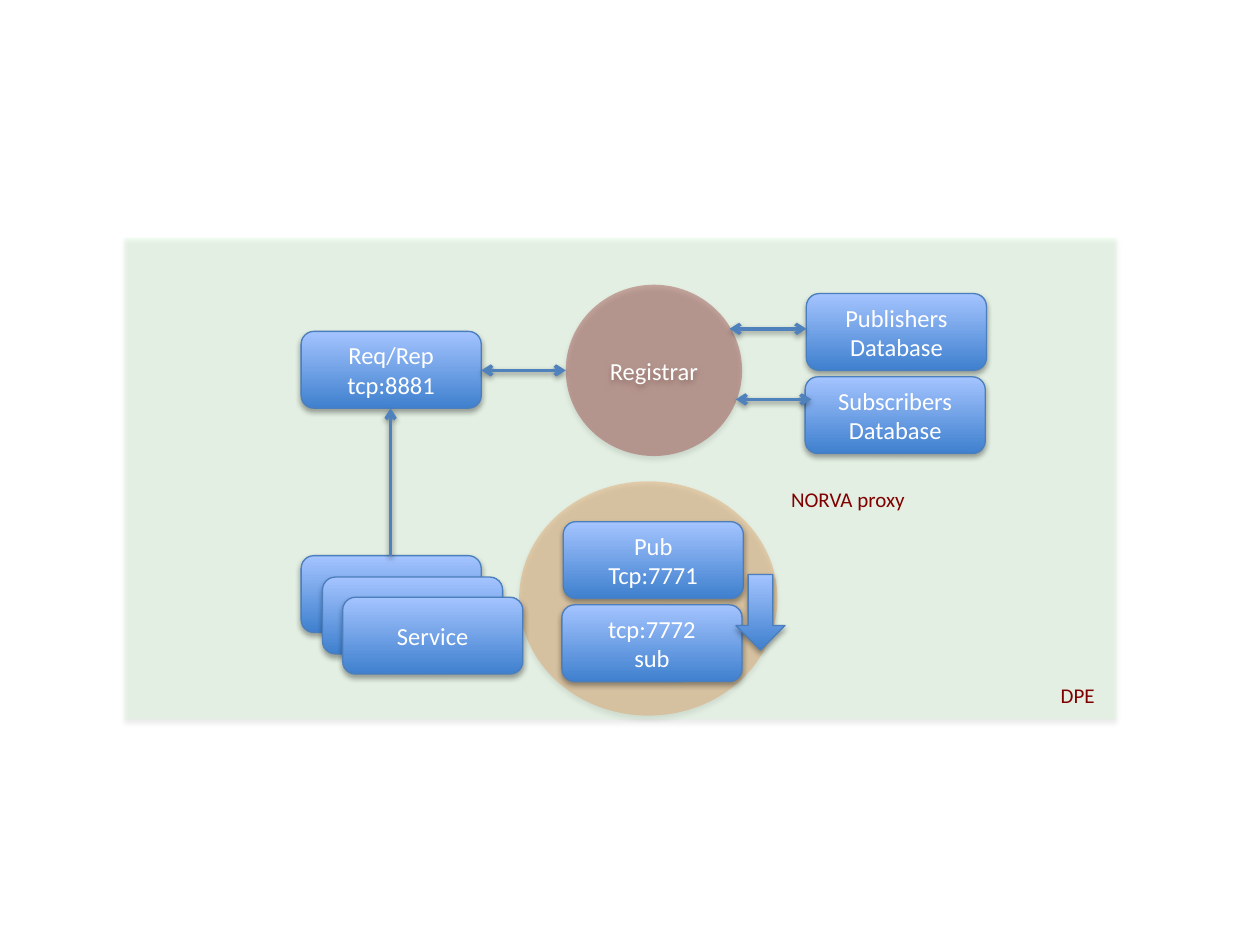
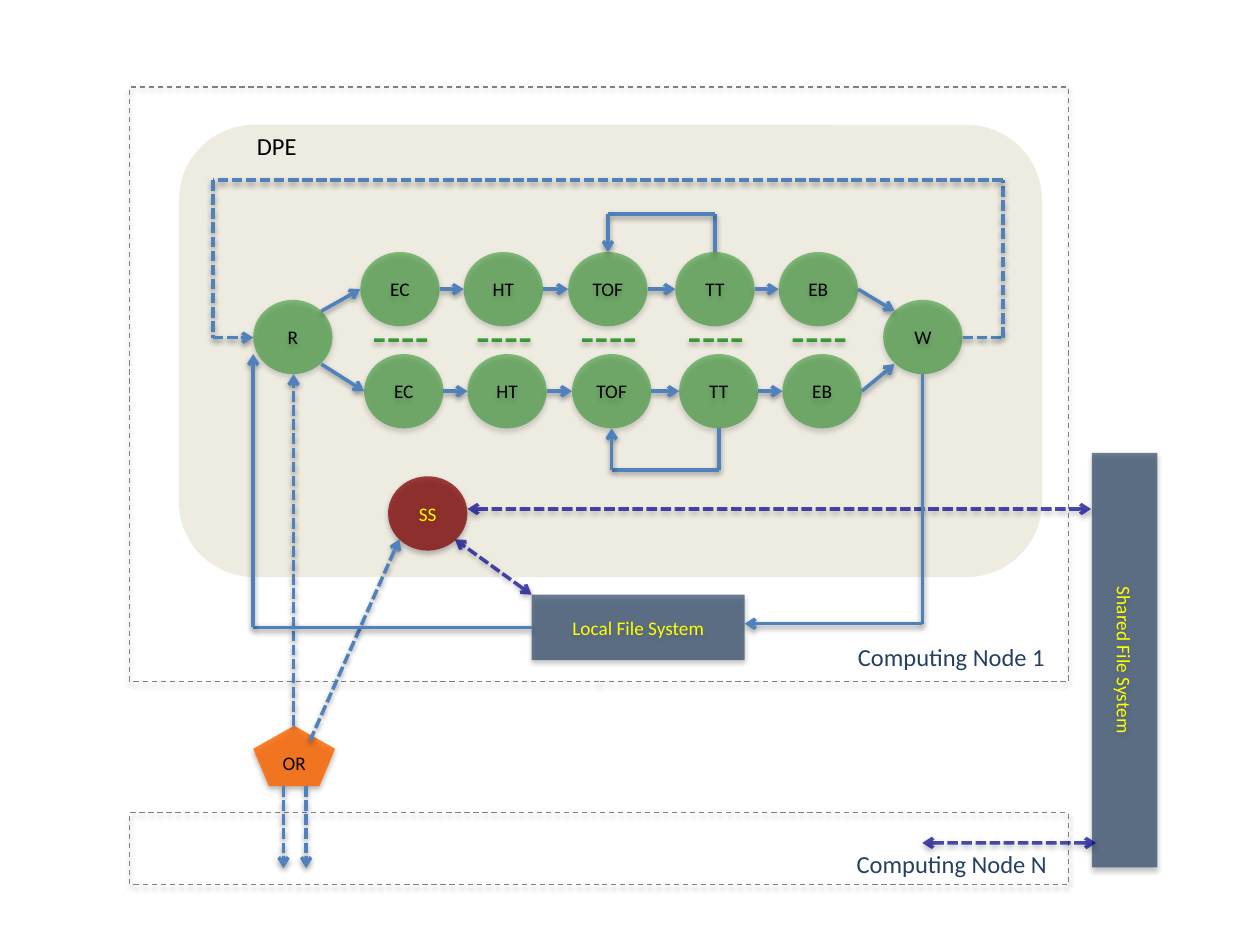
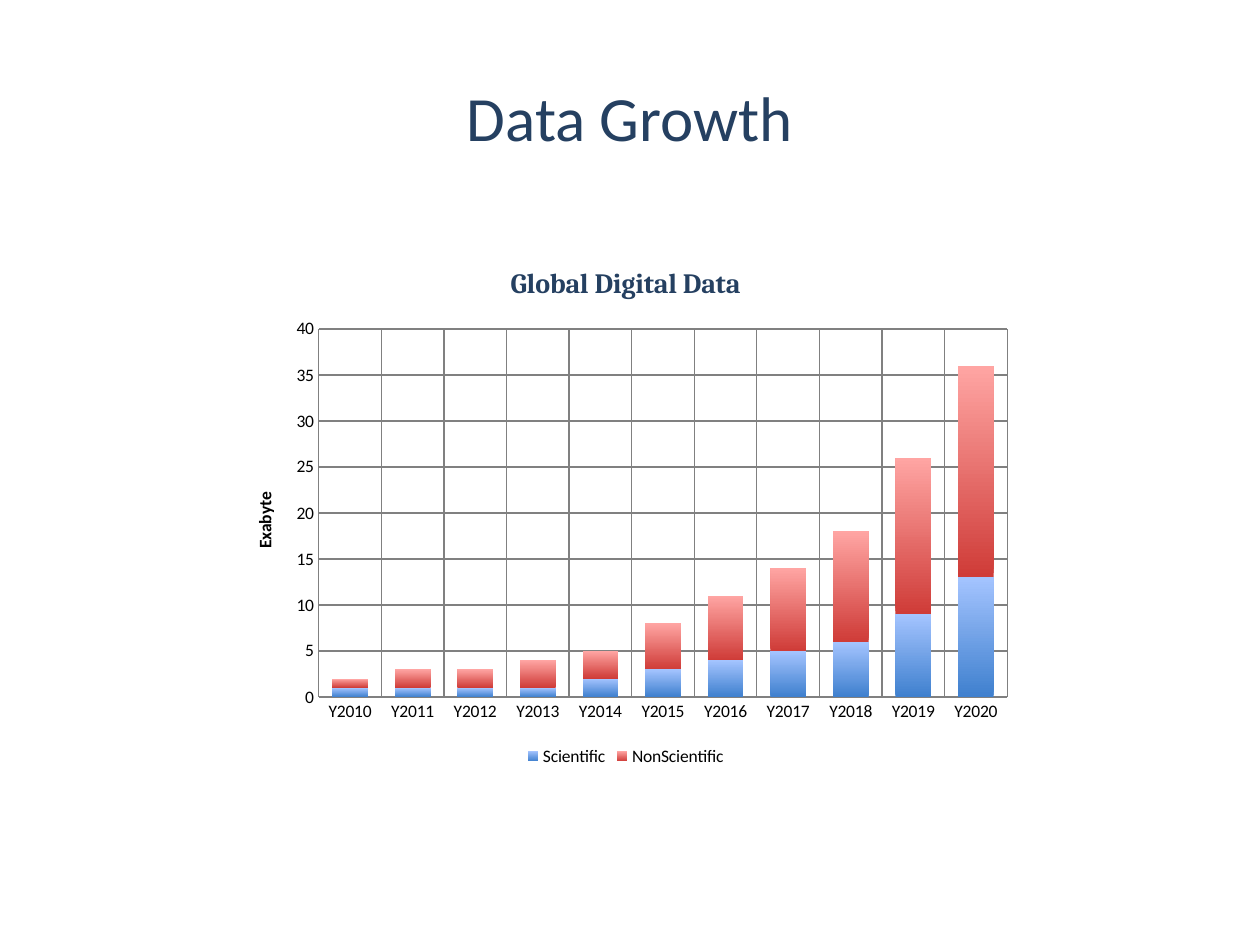
from dataclasses import dataclass
from itertools import pairwise
from typing import Optional

from lxml.etree import SubElement
from pptx import Presentation
from pptx.chart.data import CategoryChartData
from pptx.dml.color import RGBColor
from pptx.enum.chart import XL_CHART_TYPE as ChartType, XL_LEGEND_POSITION as LegendPosition
from pptx.enum.chart import XL_TICK_MARK as TickMark
from pptx.enum.dml import MSO_LINE as Dash
from pptx.enum.shapes import MSO_CONNECTOR as Connector, MSO_SHAPE as Shape
from pptx.enum.text import MSO_ANCHOR as Anchor, MSO_AUTO_SIZE as AutoSize, PP_ALIGN as Align
from pptx.oxml.ns import qn
from pptx.util import Inches, Pt

FONT = "Calibri"
BLACK, WHITE, YELLOW = "000000", "FFFFFF", "FFFF00"
NAVY, MAROON, GREEN, ORANGE = "254061", "800000", "008000", "FF6600"
BLUE, CARD_EDGE, INDIGO, GREY = "4F81BD", "4B7EBC", "000090", "808080"
BLUE_GRADIENT = ("3F80CE", "A4C4FF")
RED_GRADIENT = ("CF3C38", "FFA5A3")

Point = tuple[float, float]


@dataclass(frozen=True)
class Look:
    fill: Optional[str] = None
    opacity: int = 100
    gradient: Optional[tuple[str, str]] = None
    edge: Optional[str] = None
    dash: Optional[Dash] = None
    shadow: bool = True
    text: str = WHITE
    size: float = 14


@dataclass(frozen=True)
class Box:
    x: float
    y: float
    width: float
    height: float
    look: Look
    text: str = ""
    kind: Shape = Shape.RECTANGLE
    rotation: float = 0


@dataclass(frozen=True)
class Stroke:
    color: str = BLUE
    dash: Optional[Dash] = None
    opacity: int = 100


@dataclass(frozen=True)
class Label:
    x: float
    y: float
    width: float
    text: str
    size: float
    color: str
    height: float = 0.34


CARD = Look(gradient=BLUE_GRADIENT, edge=CARD_EDGE)
NODE = Look(GREEN, 45, text=BLACK, size=11)
STORE = Look(NAVY, 66, text=YELLOW, size=11)
FRAME = Look(edge=GREY, dash=Dash.DASH)
SOLID = Stroke()
DASHED = Stroke(dash=Dash.SQUARE_DOT)
DATA = Stroke(INDIGO, Dash.SQUARE_DOT, 70)
DIVIDER = Stroke(GREEN, Dash.SQUARE_DOT, 72)


def rgb(value: str) -> RGBColor:
    return RGBColor.from_string(value)


def set_opacity(properties, percent: int) -> None:
    if percent < 100:
        color = next(properties.iter(qn("a:srgbClr")))
        SubElement(color, qn("a:alpha"), val=str(percent * 1000))


def add_shadow(effects, distance: int, percent: int) -> None:
    shadow = SubElement(effects, qn("a:outerShdw"), blurRad="40000", dist=str(distance),
                        dir="5400000", rotWithShape="0")
    color = SubElement(shadow, qn("a:srgbClr"), val=BLACK)
    SubElement(color, qn("a:alpha"), val=str(percent * 1000))


def set_gradient(fill, colors: tuple[str, str]) -> None:
    fill.gradient()
    fill.gradient_angle = 90
    for stop, color in zip(fill.gradient_stops, colors):
        stop.color.rgb = rgb(color)


def style_font(font, size: float, color: str, name: str = FONT, bold: bool = False) -> None:
    font.name, font.size, font.bold = name, Pt(size), bold
    font.color.rgb = rgb(color)


def style_text(frame, size: float, color: str, align: Align) -> None:
    for para in frame.paragraphs:
        para.alignment = align
        for span in para.runs:
            style_font(span.font, size, color)


def draw_box(page, box: Box) -> None:
    look = box.look
    shape = page.shapes.add_shape(box.kind, Inches(box.x), Inches(box.y),
                                  Inches(box.width), Inches(box.height))
    shape.rotation = box.rotation
    properties = shape._element.spPr
    if look.gradient:
        set_gradient(shape.fill, look.gradient)
    elif look.fill:
        shape.fill.solid()
        shape.fill.fore_color.rgb = rgb(look.fill)
        set_opacity(properties, look.opacity)
    else:
        shape.fill.background()
    if look.edge:
        shape.line.color.rgb = rgb(look.edge)
        shape.line.width = Pt(0.75)
        if look.dash:
            shape.line.dash_style = look.dash
    else:
        shape.line.fill.background()
    shape.shadow.inherit = False
    if look.shadow:
        add_shadow(properties.find(qn("a:effectLst")), 23000, 35)
    if box.text:
        frame = shape.text_frame
        frame.text = box.text
        frame.word_wrap = False
        frame.vertical_anchor = Anchor.MIDDLE
        style_text(frame, look.size, look.text, Align.CENTER)


def draw_line(page, start: Point, end: Point, stroke: Stroke, head: bool, tail: bool) -> None:
    line = page.shapes.add_connector(Connector.STRAIGHT, *map(Inches, start + end))
    line.line.color.rgb = rgb(stroke.color)
    line.line.width = Pt(2)
    if stroke.dash:
        line.line.dash_style = stroke.dash
    properties = line._element.spPr
    set_opacity(properties, stroke.opacity)
    outline = properties.find(qn("a:ln"))
    for tag, wanted in (("a:headEnd", head), ("a:tailEnd", tail)):
        if wanted:
            SubElement(outline, qn(tag), type="arrow")
    add_shadow(SubElement(properties, qn("a:effectLst")), 20000, 38)


def draw_route(page, points: list[Point], stroke: Stroke = SOLID,
               head: bool = False, tail: bool = True) -> None:
    last = len(points) - 2
    for index, (start, end) in enumerate(pairwise(points)):
        draw_line(page, start, end, stroke, head and index == 0, tail and index == last)


def draw_label(page, label: Label) -> None:
    box = page.shapes.add_textbox(Inches(label.x), Inches(label.y),
                                  Inches(label.width), Inches(label.height))
    frame = box.text_frame
    frame.text = label.text
    frame.word_wrap = False
    frame.auto_size = AutoSize.SHAPE_TO_FIT_TEXT
    style_text(frame, label.size, label.color, Align.LEFT)


def build_environment(deck) -> None:
    page = deck.slides.add_slide(deck.slide_layouts[6])
    draw_box(page, Box(4.12, 3.82, 2.05, 1.86, Look(ORANGE, 30), kind=Shape.OVAL))
    draw_box(page, Box(0.99, 1.89, 7.87, 3.82, Look("CCFFCC", 23)))
    cards = [
        (4.47, 4.14, "Pub\nTcp:7771"),
        (4.46, 4.8, "tcp:7772\nsub"),
        (2.39, 2.63, "Req/Rep\ntcp:8881"),
        (6.4, 2.33, "Publishers\nDatabase"),
        (6.39, 2.99, "Subscribers\nDatabase"),
        (2.39, 4.41, ""),
        (2.56, 4.58, ""),
        (2.72, 4.74, "Service"),
    ]
    for x, y, text in cards:
        draw_box(page, Box(x, y, 1.43, 0.61, CARD, text, Shape.ROUNDED_RECTANGLE))
    draw_box(page, Box(4.49, 2.26, 1.4, 1.36, Look(MAROON, 30), "Registrar", Shape.OVAL))
    for left, right, y in ((3.82, 4.49, 2.94), (5.79, 6.4, 2.61), (5.84, 6.44, 3.17)):
        draw_route(page, [(left, y), (right, y)], head=True)
    draw_route(page, [(3.1, 4.41), (3.1, 3.24)])
    draw_box(page, Box(5.84, 4.56, 0.39, 0.6, CARD, kind=Shape.DOWN_ARROW))
    draw_label(page, Label(8.32, 5.37, 0.47, "DPE", 12, MAROON, 0.3))
    draw_label(page, Label(6.18, 3.81, 1.11, "NORVA proxy", 12, MAROON, 0.3))


def build_workflow(deck) -> None:
    page = deck.slides.add_slide(deck.slide_layouts[6])
    width, height = 0.63, 0.59

    def draw_node(x: float, y: float, text: str, look: Look = NODE) -> None:
        draw_box(page, Box(x, y, width, height, look, text, Shape.OVAL))

    panel = Look("EEECE1", shadow=False)
    draw_box(page, Box(1.42, 0.99, 6.85, 3.59, panel, kind=Shape.ROUNDED_RECTANGLE))
    draw_node(2.01, 2.38, "R")
    draw_node(7.01, 2.38, "W")

    columns = {"EC": 2.86, "HT": 3.68, "TOF": 4.51, "TT": 5.36, "EB": 6.18}
    rows = [(0, 2, 2, 1.7, 2.47), (0.03, 2.81, 3.4, 3.73, 2.89)]
    for shift, top, loop_start, loop_end, joint in rows:
        middle = top + height / 2
        for name, x in columns.items():
            draw_node(x + shift, top, name)
        for left, right in pairwise(columns.values()):
            draw_route(page, [(left + width + shift, middle), (right + shift, middle)])
        draw_route(page, [(2.55, joint), (columns["EC"] + shift, middle)])
        draw_route(page, [(columns["EB"] + width + shift, middle), (7.1, joint)])
        source, target = (columns[name] + shift + width / 2 for name in ("TT", "TOF"))
        draw_route(page, [(source, loop_start), (source, loop_end),
                          (target, loop_end), (target, loop_start)])
    for x in columns.values():
        draw_route(page, [(x + 0.11, 2.7), (x + 0.54, 2.7)], DIVIDER, tail=False)

    draw_route(page, [(7.64, 2.68), (7.96, 2.68), (7.96, 1.43),
                      (1.69, 1.43), (1.69, 2.68), (2.01, 2.68)], DASHED)
    draw_node(3.08, 3.78, "SS", Look(MAROON, 73, text=YELLOW, size=11))
    draw_box(page, Box(4.22, 4.72, 1.69, 0.52, STORE, "Local File System"))
    for y, frame_height in ((0.69, 4.72), (6.45, 0.57)):
        draw_box(page, Box(1.03, y, 7.45, frame_height, FRAME))
    for label in (Label(1.94, 0.99, 0.52, "DPE", 14, BLACK),
                  Label(6.71, 5.05, 1.7, "Computing Node 1", 14, NAVY),
                  Label(6.7, 6.69, 1.72, "Computing Node N", 14, NAVY)):
        draw_label(page, label)
    draw_box(page, Box(2.01, 5.76, 0.65, 0.48, Look(ORANGE, 82, text=BLACK, size=11),
                       "OR", Shape.REGULAR_PENTAGON))
    draw_box(page, Box(7.28, 4.98, 3.29, 0.52, STORE, "Shared File System", rotation=90))

    for start, end in (((2.33, 5.76), (2.33, 2.97)), ((2.46, 5.88), (3.17, 4.28)),
                       ((2.25, 6.24), (2.25, 6.89)), ((2.43, 6.24), (2.43, 6.89))):
        draw_route(page, [start, end], DASHED)
    for start, end in (((8.66, 4.04), (3.71, 4.04)), ((4.22, 4.72), (3.61, 4.28)),
                       ((8.7, 6.69), (7.32, 6.69))):
        draw_route(page, [start, end], DATA, head=True)
    draw_route(page, [(4.22, 4.98), (2.01, 4.98), (2.01, 2.81)])
    draw_route(page, [(7.32, 2.97), (7.32, 4.95), (5.91, 4.95)])


def style_axis(axis) -> None:
    axis.has_major_gridlines = True
    axis.major_gridlines.format.line.color.rgb = rgb(GREY)
    axis.major_gridlines.format.line.width = Pt(0.75)
    axis.major_tick_mark = axis.minor_tick_mark = TickMark.NONE
    style_font(axis.tick_labels.font, 10, BLACK)


def build_growth(deck) -> None:
    page = deck.slides.add_slide(deck.slide_layouts[5])
    title = page.shapes.title
    title.left, title.top, title.width, title.height = map(Inches, (0.5, 0.3, 9, 1.25))
    title.text_frame.text = "Data Growth"
    title.text_frame.vertical_anchor = Anchor.MIDDLE
    style_text(title.text_frame, 36, NAVY, Align.CENTER)

    data = CategoryChartData()
    data.categories = [f"Y{year}" for year in range(2010, 2021)]
    data.add_series("Scientific", (1, 1, 1, 1, 2, 3, 4, 5, 6, 9, 13))
    data.add_series("NonScientific", (1, 2, 2, 3, 3, 5, 7, 9, 12, 17, 23))
    chart = page.shapes.add_chart(ChartType.COLUMN_STACKED, Inches(1.81), Inches(1.93),
                                  Inches(6.31), Inches(4.19), data).chart
    style_font(chart.font, 10, BLACK)
    chart.has_title = True
    heading = chart.chart_title.text_frame
    heading.text = "Global Digital Data"
    style_font(heading.paragraphs[0].runs[0].font, 16, NAVY, "Cambria", True)

    plot = chart.plots[0]
    plot.gap_width, plot.overlap, plot.vary_by_categories = 75, 100, False
    for series, colors in zip(plot.series, (BLUE_GRADIENT, RED_GRADIENT)):
        set_gradient(series.format.fill, colors)

    style_axis(chart.category_axis)
    chart.category_axis.format.line.color.rgb = rgb(GREY)
    values = chart.value_axis
    style_axis(values)
    values.minimum_scale, values.maximum_scale, values.major_unit = 0, 40, 5
    values.format.line.fill.background()
    values.has_title = True
    caption = values.axis_title.text_frame
    caption.text = "Exabyte"
    style_font(caption.paragraphs[0].runs[0].font, 10, BLACK, bold=True)

    chart.has_legend = True
    chart.legend.position = LegendPosition.BOTTOM
    chart.legend.include_in_layout = False
    style_font(chart.legend.font, 10, BLACK)


def main() -> None:
    deck = Presentation()
    deck.slide_width, deck.slide_height = Inches(10), Inches(7.5)
    for build in (build_environment, build_workflow, build_growth):
        build(deck)
    deck.save("out.pptx")


main()
